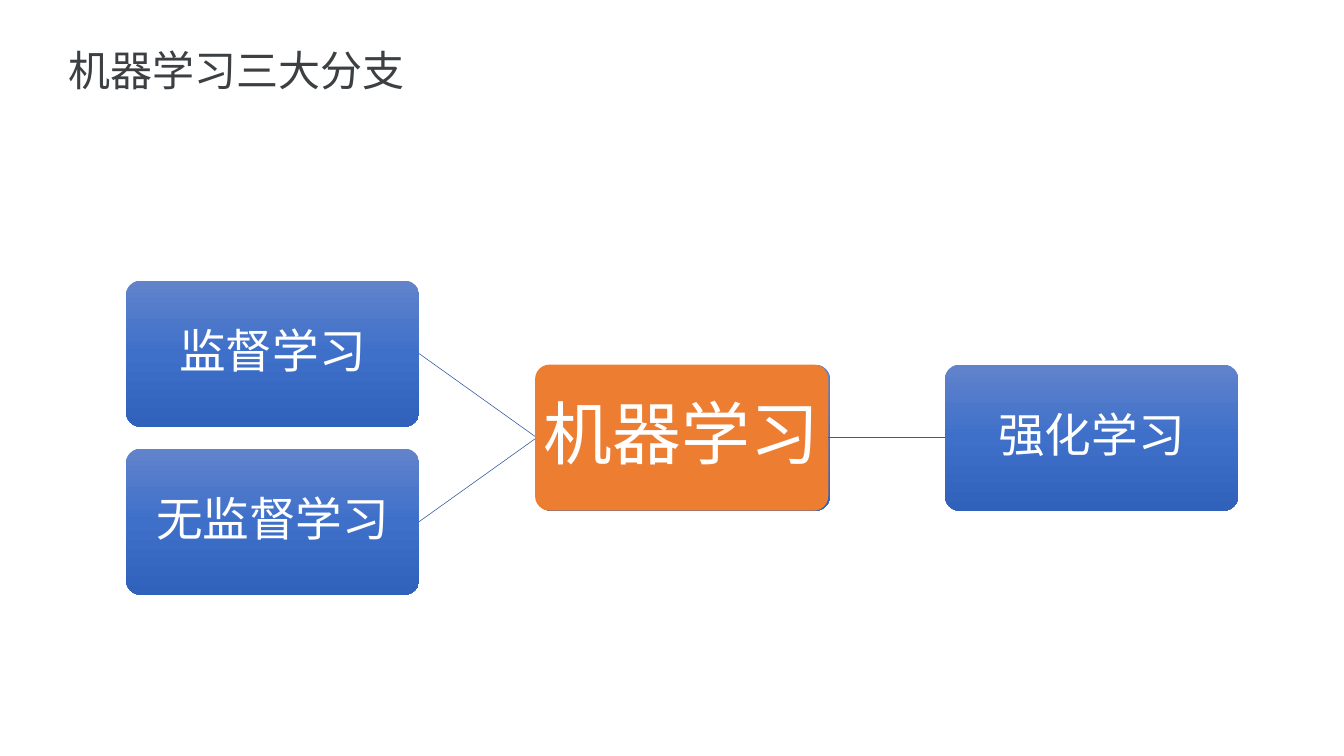
from lxml import etree
from pptx import Presentation
from pptx.dml.color import RGBColor
from pptx.enum.shapes import MSO_CONNECTOR, MSO_SHAPE
from pptx.enum.text import MSO_ANCHOR, PP_ALIGN
from pptx.oxml.ns import qn
from pptx.util import Inches, Pt

ROUNDED = MSO_SHAPE.ROUNDED_RECTANGLE
STRAIGHT = MSO_CONNECTOR.STRAIGHT
MIDDLE = MSO_ANCHOR.MIDDLE
TOP = MSO_ANCHOR.TOP
LEFT = PP_ALIGN.LEFT
CENTER = PP_ALIGN.CENTER

TITLE_GREY = RGBColor(0x3C, 0x40, 0x43)
WHITE = RGBColor(0xFF, 0xFF, 0xFF)
ORANGE = RGBColor(0xED, 0x7D, 0x31)
LINK_BLUE = RGBColor(0x36, 0x5B, 0x9D)
CARD_BLUES = (
    (0, RGBColor(0x61, 0x83, 0xCB)),
    (50, RGBColor(0x3E, 0x70, 0xCA)),
    (100, RGBColor(0x30, 0x62, 0xBB)),
)

CJK_FONT = "Noto Sans CJK SC"
CARD_WIDTH, CARD_HEIGHT = 3.49, 1.74
LEFT_X, HUB_X, RIGHT_X = 1.5, 6.37, 11.25
HUB_Y = 4.34
BRANCH_OFFSET = 1.0


def write_text(shape, text, size, color, font=CJK_FONT, align=LEFT,
               anchor=TOP, margin=0.1, line_spacing=None):
    frame = shape.text_frame
    frame.word_wrap = True
    frame.vertical_anchor = anchor
    frame.margin_left = frame.margin_right = Inches(margin)
    frame.margin_top = frame.margin_bottom = Inches(margin)
    paragraph = frame.paragraphs[0]
    paragraph.alignment = align
    paragraph.line_spacing = line_spacing
    run = paragraph.add_run()
    run.text = text
    run.font.size = Pt(size)
    run.font.color.rgb = color
    run.font.name = font
    # East Asian characters take their font from a separate element
    east_asian = etree.SubElement(run.font._element, qn("a:ea"))
    east_asian.set("typeface", font)


def fill_gradient(shape, stops):
    shape.fill.gradient()
    shape.fill.gradient_angle = 270  # top to bottom
    stop_list = shape._element.spPr.find(qn("a:gradFill")).find(qn("a:gsLst"))
    for old_stop in list(stop_list):
        stop_list.remove(old_stop)
    for percent, color in stops:
        stop = etree.SubElement(stop_list, qn("a:gs"), pos=str(percent * 1000))
        etree.SubElement(stop, qn("a:srgbClr"), val=str(color))


def add_card(slide, x, y, text=None, size=40, font=CJK_FONT, color=None,
             margin=0.03):
    card = slide.shapes.add_shape(ROUNDED, Inches(x), Inches(y),
                                  Inches(CARD_WIDTH), Inches(CARD_HEIGHT))
    card.adjustments[0] = 0.1
    card.shadow.inherit = False
    card.line.fill.background()
    if color is None:
        fill_gradient(card, CARD_BLUES)
    else:
        card.fill.solid()
        card.fill.fore_color.rgb = color
    if text:
        write_text(card, text, size, WHITE, font=font, align=CENTER,
                   anchor=MIDDLE, margin=margin, line_spacing=0.9)


def add_link(slide, start, end):
    link = slide.shapes.add_connector(
        STRAIGHT, *(Inches(value) for value in (*start, *end)))
    link.line.color.rgb = LINK_BLUE
    link.line.width = Pt(0.5)
    etree.SubElement(link._element.spPr, qn("a:effectLst"))


def main():
    prs = Presentation()
    prs.slide_width, prs.slide_height = Inches(16), Inches(9)
    slide = prs.slides.add_slide(prs.slide_layouts[6])

    # Title
    title = slide.shapes.add_textbox(Inches(0.72), Inches(0.43),
                                     Inches(11.41), Inches(0.77))
    write_text(title, "机器学习三大分支", 36, TITLE_GREY)

    # Blue card showing slightly at the right edge of the hub
    add_card(slide, HUB_X + 0.02, HUB_Y)

    # Left branches, placed evenly above and below the hub
    hub_middle = HUB_Y + CARD_HEIGHT / 2
    for text, offset in (("监督学习", -BRANCH_OFFSET),
                         ("无监督学习", BRANCH_OFFSET)):
        add_link(slide, (HUB_X + 0.02, hub_middle),
                 (LEFT_X + CARD_WIDTH, hub_middle + offset))
        add_card(slide, LEFT_X, HUB_Y + offset, text)

    # Hub and right branch
    add_card(slide, HUB_X, HUB_Y, "机器学习", size=59, font="Calibri",
             color=ORANGE, margin=0.04)
    add_link(slide, (HUB_X + CARD_WIDTH, hub_middle), (RIGHT_X, hub_middle))
    add_card(slide, RIGHT_X, HUB_Y, "强化学习")

    prs.save("out.pptx")


if __name__ == "__main__":
    main()
